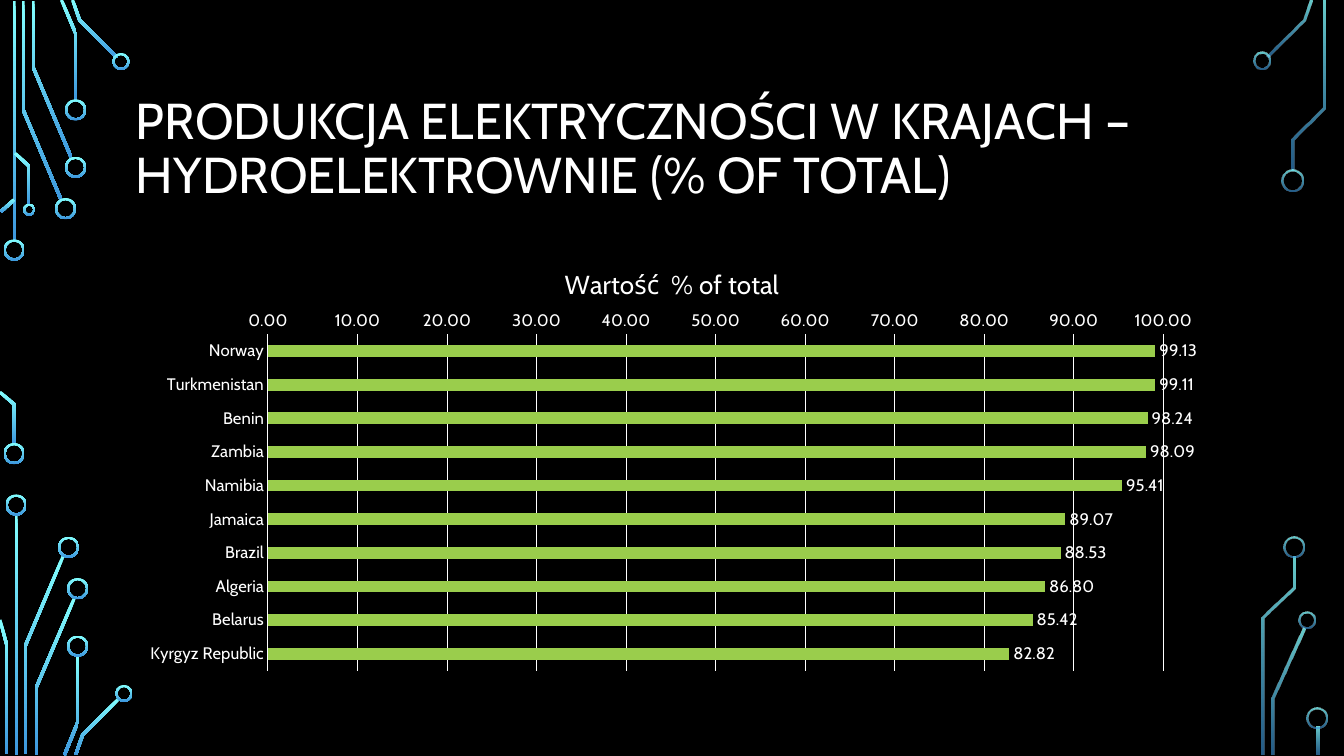
"""Build a slide with a bar chart of hydroelectric shares between circuit traces."""
from dataclasses import dataclass

from lxml.etree import SubElement
from pptx import Presentation
from pptx.chart.data import CategoryChartData
from pptx.dml.color import RGBColor
from pptx.enum.chart import XL_CHART_TYPE, XL_LABEL_POSITION, XL_TICK_MARK
from pptx.enum.shapes import MSO_SHAPE
from pptx.enum.text import MSO_ANCHOR
from pptx.oxml import parse_xml
from pptx.oxml.ns import nsdecls, qn
from pptx.util import Inches, Pt

COLORS = {"back": "000000", "text": "FFFFFF", "bar": "9ACD4C",
          "top": "82FFFF", "base": "3D97DE"}
FONT = "Cabin"
WIDTH = 0.03
RIM = 0.02
CLEAR, FADED = (100, 100), (80, 60)


@dataclass
class Trace:
    points: list[tuple[float, float]]
    alphas: tuple[int, int] = CLEAR


@dataclass
class Ring:
    x: float
    y: float
    size: float = 0.21
    alphas: tuple[int, int] = CLEAR


TRACES = [
    Trace([(0.14, 0.01), (0.14, 2.4)]),
    Trace([(0.23, 0.01), (0.23, 1.09), (0.61, 1.99)]),
    Trace([(0.33, 0.01), (0.33, 0.67), (0.71, 1.57)]),
    Trace([(0.61, 0), (0.75, 0.33), (0.75, 1)]),
    Trace([(0.72, 0), (0.79, 0.2), (1.16, 0.57)]),
    Trace([(0.01, 2.1), (0.14, 1.98)]),
    Trace([(0, 3.89), (0.14, 4.01), (0.14, 4.41)]),
    Trace([(0.15, 1.52), (0.29, 1.65), (0.29, 2.03)]),
    Trace([(0.16, 5.1), (0.16, 7.49)]),
    Trace([(0.25, 7.48), (0.25, 6.41), (0.63, 5.51)]),
    Trace([(0, 6.15), (0.07, 6.41), (0.07, 7.48)]),
    Trace([(0.36, 7.49), (0.36, 6.82), (0.74, 5.93)]),
    Trace([(0.64, 7.49), (0.77, 7.17), (0.77, 6.5)]),
    Trace([(0.75, 7.49), (0.82, 7.29), (1.18, 6.93)]),
    Trace([(13, 0), (12.93, 0.2), (12.57, 0.56)], FADED),
    Trace([(13.13, 0.01), (13.13, 1.07), (12.82, 1.38), (12.82, 1.69)], FADED),
    Trace([(12.63, 7.49), (12.63, 6.93), (12.93, 6.23)], FADED),
    Trace([(12.53, 7.49), (12.53, 6.13), (12.83, 5.83), (12.83, 5.52)], FADED),
    Trace([(13.07, 7.21), (13.07, 7.49)], FADED),
]
RINGS = [
    Ring(0.14, 2.48), Ring(0.14, 4.5), Ring(0.65, 2.07), Ring(0.75, 1.66),
    Ring(0.75, 1.09), Ring(1.2, 0.61, 0.17), Ring(0.29, 2.08, 0.12),
    Ring(0.16, 5.01), Ring(0.68, 5.43), Ring(0.77, 5.84), Ring(0.77, 6.41),
    Ring(1.23, 6.88, 0.17), Ring(12.52, 0.6, 0.17, FADED),
    Ring(12.82, 1.79, alphas=FADED), Ring(12.96, 6.15, 0.17, FADED),
    Ring(12.83, 5.43, alphas=FADED), Ring(13.06, 7.12, alphas=FADED),
]
SHARES = {
    "Norway": 99.13, "Turkmenistan": 99.11, "Benin": 98.24, "Zambia": 98.09,
    "Namibia": 95.41, "Jamaica": 89.07, "Brazil": 88.53, "Algeria": 86.80,
    "Belarus": 85.42, "Kyrgyz Republic": 82.82,
}


def color(name: str) -> RGBColor:
    return RGBColor.from_string(COLORS[name])


def style(font, size: float) -> None:
    font.name, font.size, font.bold = FONT, Pt(size), False
    font.color.rgb = color("text")


def glow(shape, alphas: tuple[int, int]) -> None:
    shape.shadow.inherit = False
    shape.line.fill.background()
    shape.fill.gradient()
    shape.fill.gradient_angle = 270
    for stop, name in zip(shape.fill.gradient_stops, ("top", "base")):
        stop.color.rgb = color(name)
    if alphas != CLEAR:
        for tint, alpha in zip(shape._element.spPr.iter(qn("a:srgbClr")), alphas):
            SubElement(tint, qn("a:alpha"), val=str(alpha * 1000))


def draw_trace(slide, trace: Trace) -> None:
    spots = [complex(*point) for point in trace.points]
    norms = [1j * (b - a) / abs(b - a) for a, b in zip(spots, spots[1:])]
    left, right = [], []
    for spot, a, b in zip(spots, norms[:1] + norms, norms + norms[-1:]):
        shift = (a + b) / (1 + (a * b.conjugate()).real) * WIDTH / 2
        left.append(spot + shift)
        right.append(spot - shift)
    edge = [(Inches(p.real), Inches(p.imag)) for p in left + right[::-1]]
    pen = slide.shapes.build_freeform(*edge[0])
    pen.add_line_segments(edge[1:], close=True)
    glow(pen.convert_to_shape(), trace.alphas)


def draw_ring(slide, ring: Ring) -> None:
    half, size = ring.size / 2, Inches(ring.size)
    shape = slide.shapes.add_shape(
        MSO_SHAPE.DONUT, Inches(ring.x - half), Inches(ring.y - half), size, size)
    shape.adjustments[0] = RIM / ring.size
    glow(shape, ring.alphas)


def draw_title(slide) -> None:
    box = slide.shapes.add_textbox(
        Inches(1.25), Inches(0.68), Inches(10.83), Inches(1.62))
    frame = box.text_frame
    frame.word_wrap = True
    frame.vertical_anchor = MSO_ANCHOR.MIDDLE
    frame.text = "PRODUKCJA ELEKTRYCZNOŚCI W KRAJACH – HYDROELEKTROWNIE (% OF TOTAL)"
    frame.paragraphs[0].line_spacing = 0.9
    style(frame.paragraphs[0].runs[0].font, 36)


def draw_line(line) -> None:
    line.color.rgb, line.width = color("text"), Pt(0.75)


def place_plot(chart, x: float, y: float, w: float, h: float) -> None:
    area = chart._chartSpace.chart.plotArea
    for old in area.findall(qn("c:layout")):
        area.remove(old)
    parts = "".join(f'<c:{tag} val="{val}"/>' for tag, val in (
        ("layoutTarget", "inner"), ("xMode", "edge"), ("yMode", "edge"),
        ("x", x), ("y", y), ("w", w), ("h", h)))
    area.insert(0, parse_xml(
        f'<c:layout {nsdecls("c")}><c:manualLayout>{parts}</c:manualLayout></c:layout>'))


def draw_chart(slide) -> None:
    data = CategoryChartData(number_format="0.00")
    data.categories = list(SHARES)
    data.add_series("Wartość  % of total", list(SHARES.values()))
    chart = slide.shapes.add_chart(
        XL_CHART_TYPE.BAR_CLUSTERED, Inches(1.25), Inches(2.46),
        Inches(10.83), Inches(4.28), data).chart
    style(chart.font, 10)
    chart.has_legend = False
    chart.has_title = True
    head = chart.chart_title.text_frame
    head.text = "Wartość  % of total"
    style(head.paragraphs[0].runs[0].font, 18.6)
    place_plot(chart, 0.13, 0.2, 0.82, 0.78)

    for axis in (chart.category_axis, chart.value_axis):
        axis.major_tick_mark = axis.minor_tick_mark = XL_TICK_MARK.NONE
        style(axis.tick_labels.font, 11.9)
    names, scale = chart.category_axis, chart.value_axis
    names.reverse_order = True
    draw_line(names.format.line)
    scale.minimum_scale, scale.maximum_scale, scale.major_unit = 0, 100, 10
    scale.format.line.fill.background()
    draw_line(scale.major_gridlines.format.line)
    scale.tick_labels.number_format = "0.00"
    scale.tick_labels.number_format_is_linked = False

    plot = chart.plots[0]
    plot.gap_width, plot.vary_by_categories = 182, False
    bars = plot.series[0]
    bars.format.fill.solid()
    bars.format.fill.fore_color.rgb = color("bar")
    labels = bars.data_labels
    labels.show_value = True
    labels.position = XL_LABEL_POSITION.OUTSIDE_END
    labels.number_format, labels.number_format_is_linked = "0.00", False
    style(labels.font, 11.9)


def main() -> None:
    deck = Presentation()
    deck.slide_width, deck.slide_height = Inches(13.33), Inches(7.5)
    slide = deck.slides.add_slide(deck.slide_layouts[6])
    slide.background.fill.solid()
    slide.background.fill.fore_color.rgb = color("back")
    for trace in TRACES:
        draw_trace(slide, trace)
    for ring in RINGS:
        draw_ring(slide, ring)
    draw_title(slide)
    draw_chart(slide)
    deck.save("out.pptx")


main()
